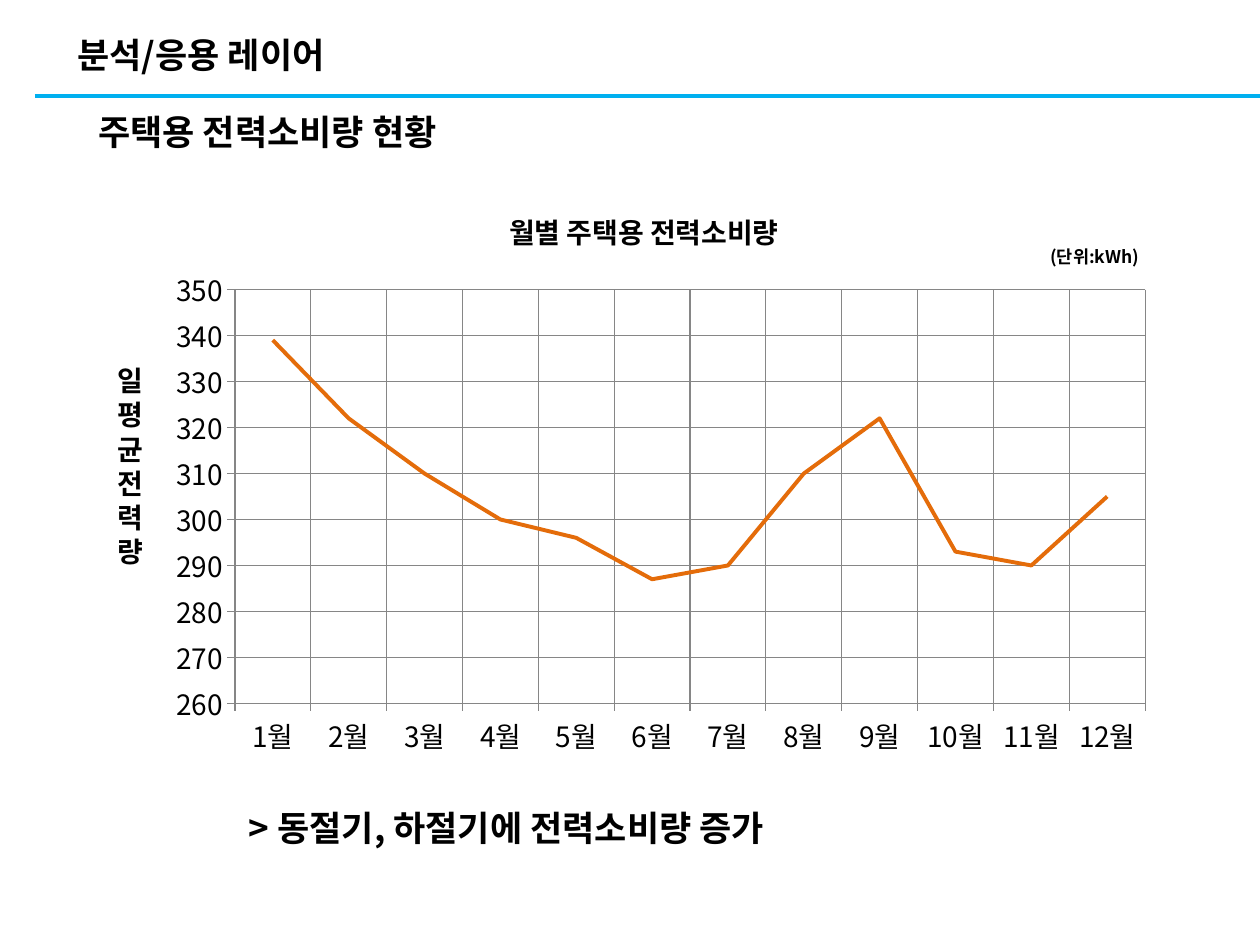
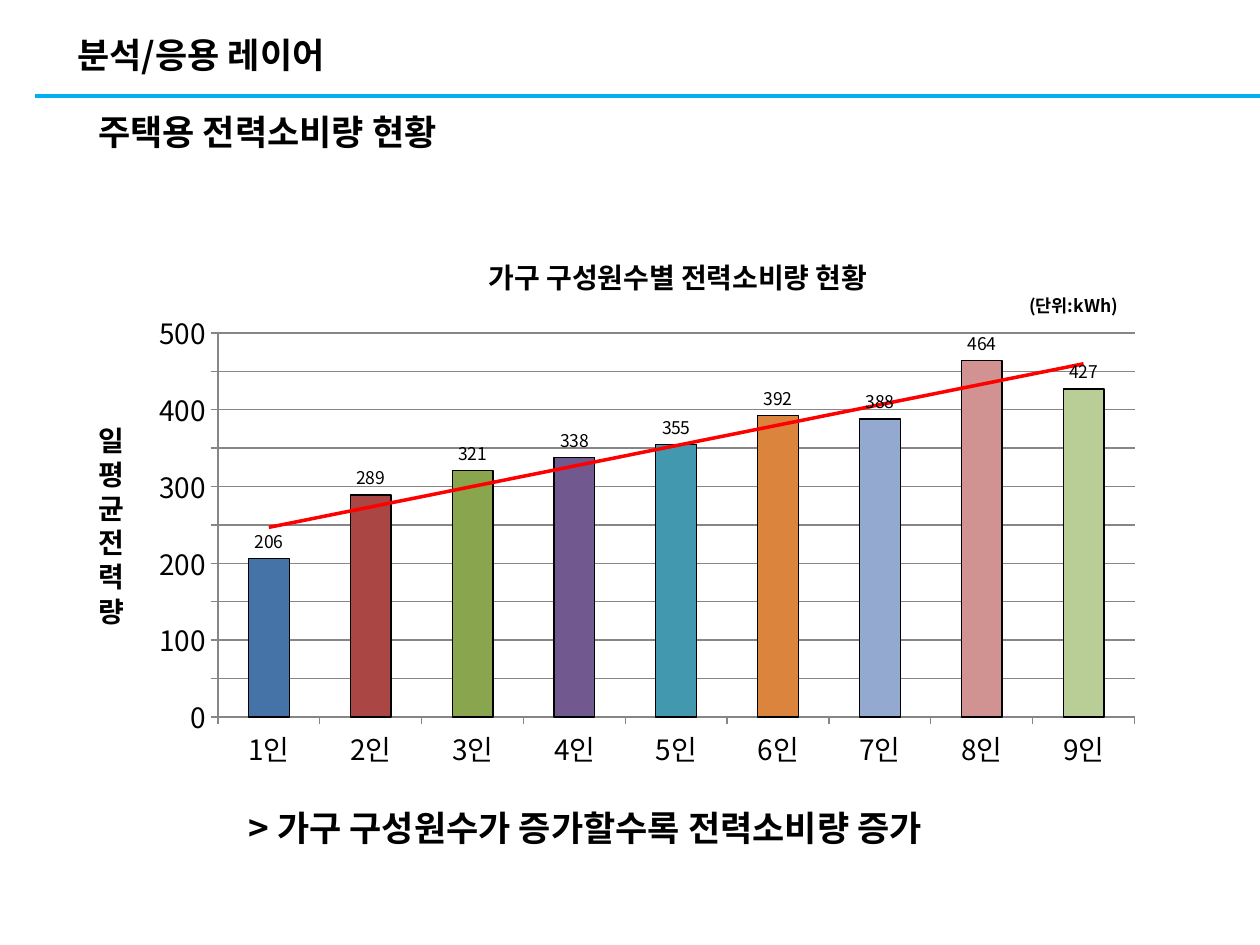
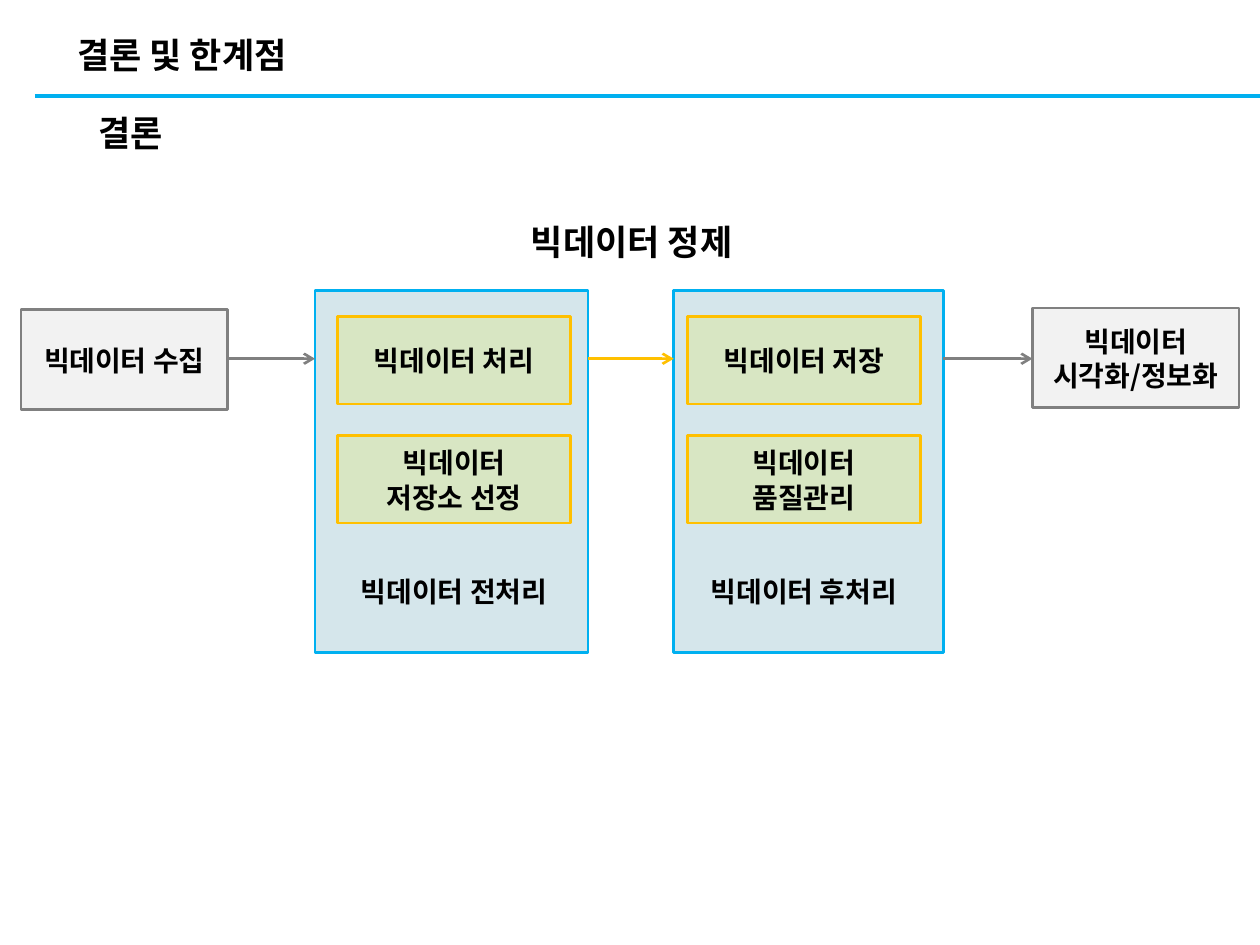
import pptx
import pptx.util
import pptx.chart.data
import pptx.dml.color
import pptx.enum.chart
import pptx.enum.shapes
import pptx.enum.text
import pptx.oxml
import pptx.oxml.ns
from lxml import etree

Pt = pptx.util.Pt
qn = pptx.oxml.ns.qn
RGB = pptx.dml.color.RGBColor.from_string
ALIGN = pptx.enum.text.PP_ALIGN
ANCHOR = pptx.enum.text.MSO_ANCHOR
KIND = pptx.enum.chart.XL_CHART_TYPE
FACE = "Noto Sans CJK KR"
INK = {
    "text": "000000", "sky": "00B0F0", "teal": "31859C", "gray": "808080",
    "pale": "BFBFBF", "gold": "FFC000", "lime": "E4E923", "grid": "868686",
    "curve": "E46C0A", "trend": "FF0000",
}
BARS = ["4572A7", "AA4643", "89A54E", "71588F", "4198AF",
        "DB843D", "93A9CF", "D19392", "B9CD96"]


def write(shape, text, size, align=ALIGN.CENTER, anchor=ANCHOR.TOP):
    frame = shape.text_frame
    frame.text = text
    frame.word_wrap = True
    frame.auto_size = pptx.enum.text.MSO_AUTO_SIZE.NONE
    frame.vertical_anchor = anchor
    for para in frame.paragraphs:
        para.alignment = align
        para.line_spacing = Pt(size * 1.22)
        para.font.size = Pt(size)
        para.font.bold = True
        para.font.color.rgb = RGB(INK["text"])
        para.font.name = FACE
        base = para._p.pPr.find(qn("a:defRPr"))
        etree.SubElement(base, qn("a:ea"), typeface=FACE)


def rule(slide, left, right, top, color, width, arrow=False):
    line = slide.shapes.add_connector(
        pptx.enum.shapes.MSO_CONNECTOR.STRAIGHT,
        Pt(left), Pt(top), Pt(right), Pt(top))
    line.line.color.rgb = RGB(INK[color])
    line.line.width = Pt(width)
    props = line._element.spPr
    if arrow:
        etree.SubElement(props.find(qn("a:ln")), qn("a:tailEnd"), type="arrow")
    etree.SubElement(props, qn("a:effectLst"))


deck = pptx.Presentation()
deck.slide_width, deck.slide_height = Pt(720), Pt(540)

heads = [
    ("분석/응용 레이어", "주택용 전력소비량 현황", 59),
    ("분석/응용 레이어", "주택용 전력소비량 현황", 59),
    ("결론 및 한계점", "결론", 60),
]
for head, topic, top in heads:
    slide = deck.slides.add_slide(deck.slide_layouts[5])
    rule(slide, 20, 720, 55, "sky", 2.25)
    title = slide.shapes.title
    title.left, title.top, title.width, title.height = map(Pt, (37, 15, 221, 32))
    write(title, head, 20, ALIGN.LEFT)
    box = slide.shapes.add_textbox(Pt(49), Pt(top), Pt(251), Pt(32))
    write(box, topic, 20, ALIGN.LEFT)

plots = [
    {
        "kind": KIND.LINE, "at": (88, 148, 578, 292),
        "cats": [f"{n}월" for n in range(1, 13)],
        "vals": [339, 322, 310, 300, 296, 287, 290, 310, 322, 293, 290, 305],
        "scale": (260, 350, 10),
        "name": ("월별 주택용 전력소비량", (210, 119, 316, 26)),
        "side": (60, 204, 29, 138), "unit": (590, 137, 71, 24),
        "note": "> 동절기, 하절기에 전력소비량 증가",
    },
    {
        "kind": KIND.COLUMN_CLUSTERED, "at": (78, 174, 582, 271),
        "cats": [f"{n}인" for n in range(1, 10)],
        "vals": [206, 289, 321, 338, 355, 392, 388, 464, 427],
        "scale": (0, 500, 50),
        "name": ("가구 구성원수별 전력소비량 현황", (253, 145, 269, 26)),
        "side": (49, 238, 24, 138), "unit": (568, 165, 91, 17),
        "note": "> 가구 구성원수가 증가할수록 전력소비량 증가",
    },
]
for slide, plot in zip(deck.slides, plots):
    data = pptx.chart.data.CategoryChartData()
    data.categories = plot["cats"]
    data.add_series("Series 1", plot["vals"])
    chart = slide.shapes.add_chart(plot["kind"], *map(Pt, plot["at"]), data).chart
    chart.has_legend = False
    chart.has_title = False
    chart.font.size = Pt(10)
    chart.font.color.rgb = RGB(INK["text"])
    chart.font.name = FACE

    value = chart.value_axis
    value.minimum_scale, value.maximum_scale, value.major_unit = plot["scale"]
    value.has_major_gridlines = True
    chart.category_axis.has_major_gridlines = plot["kind"] == KIND.LINE
    for axis in (value, chart.category_axis):
        axis.major_tick_mark = pptx.enum.chart.XL_TICK_MARK.OUTSIDE
        axis.tick_labels.font.size = Pt(16)
        axis.tick_labels.font.color.rgb = RGB(INK["text"])
        axis.tick_labels.font.name = FACE
        lines = [axis.format.line]
        if axis.has_major_gridlines:
            lines.append(axis.major_gridlines.format.line)
        for line in lines:
            line.color.rgb = RGB(INK["grid"])
            line.width = Pt(0.75)

    group = chart.plots[0]
    group.vary_by_categories = False
    series = group.series[0]
    if plot["kind"] == KIND.LINE:
        series.smooth = False
        series.marker.style = pptx.enum.chart.XL_MARKER_STYLE.NONE
        series.format.line.color.rgb = RGB(INK["curve"])
        series.format.line.width = Pt(2.25)
    else:
        group.gap_width = 150
        for spot, color in enumerate(BARS):
            look = series.points[spot].format
            look.fill.solid()
            look.fill.fore_color.rgb = RGB(color)
            look.line.color.rgb = RGB(INK["text"])
            look.line.width = Pt(0.75)
        labels = series.data_labels
        labels.show_value = True
        labels.position = pptx.enum.chart.XL_LABEL_POSITION.OUTSIDE_END
        labels.font.size = Pt(10)
        labels.font.color.rgb = RGB(INK["text"])
        labels.font.name = FACE
        trend = pptx.oxml.parse_xml(
            f'<c:trendline {pptx.oxml.ns.nsdecls("c", "a")}><c:spPr>'
            f'<a:ln w="{Pt(2)}"><a:solidFill><a:srgbClr val="{INK["trend"]}"/>'
            '</a:solidFill></a:ln></c:spPr><c:trendlineType val="linear"/>'
            '<c:dispRSqr val="0"/><c:dispEq val="0"/></c:trendline>')
        series._element.find(qn("c:cat")).addprevious(trend)

    space = chart._chartSpace
    for base in space.iter(qn("a:defRPr")):
        etree.SubElement(base, qn("a:ea"), typeface=FACE)
    area = space.find(".//" + qn("c:plotArea"))
    for old in area.findall(qn("c:layout")):
        area.remove(old)
    layout = etree.Element(qn("c:layout"))
    area.insert(0, layout)
    manual = etree.SubElement(layout, qn("c:manualLayout"))
    for key, val in [("layoutTarget", "inner"), ("xMode", "edge"), ("yMode", "edge"),
                     ("x", "0.08"), ("y", "0.06"), ("w", "0.9"), ("h", "0.81")]:
        etree.SubElement(manual, qn("c:" + key), val=val)

    name, spot = plot["name"]
    for text, at, size, align in [
        (name, spot, 16, ALIGN.CENTER),
        ("\n".join("일평균전력량"), plot["side"], 16, ALIGN.CENTER),
        ("(단위:kWh)", plot["unit"], 10, ALIGN.CENTER),
        (plot["note"], (135, 457, 585, 32), 20, ALIGN.LEFT),
    ]:
        write(slide.shapes.add_textbox(*map(Pt, at)), text, size, align)

slide = deck.slides[2]
boxes = [
    ("", (180, 166, 156, 207), "teal", "sky"),
    ("", (385, 166, 154, 207), "teal", "sky"),
    ("빅데이터 수집", (12, 177, 118, 57), "pale", "gray"),
    ("빅데이터\n시각화/정보화", (590, 176, 118, 57), "pale", "gray"),
]
stages = [
    (193, ["빅데이터 처리", "빅데이터\n저장소 선정"], "빅데이터 전처리"),
    (393, ["빅데이터 저장", "빅데이터\n품질관리"], "빅데이터 후처리"),
]
for left, steps, label in stages:
    for row, step in enumerate(steps):
        boxes.append((step, (left, 181 + 68 * row, 133, 50), "lime", "gold"))

for text, at, fill, edge in boxes:
    box = slide.shapes.add_shape(
        pptx.enum.shapes.MSO_SHAPE.RECTANGLE, *map(Pt, at))
    box.shadow.inherit = False
    box.fill.solid()
    box.fill.fore_color.rgb = RGB(INK[fill])
    tint = box._element.spPr.find(qn("a:solidFill"))[0]
    etree.SubElement(tint, qn("a:alpha"), val="20000")
    box.line.color.rgb = RGB(INK[edge])
    box.line.width = Pt(1.5)
    if text:
        write(box, text, 16, anchor=ANCHOR.MIDDLE)
        box.text_frame.margin_left = box.text_frame.margin_right = Pt(2)

for left, steps, label in stages:
    box = slide.shapes.add_textbox(Pt(left), Pt(313), Pt(133), Pt(50))
    write(box, label, 16, anchor=ANCHOR.MIDDLE)

for left, right, color in [(130, 180, "gray"), (539, 590, "gray"), (336, 385, "gold")]:
    rule(slide, left, right, 205, color, 1.5, arrow=True)

write(slide.shapes.add_textbox(Pt(237), Pt(122), Pt(248), Pt(32)), "빅데이터 정제", 20)

deck.save("out.pptx")
